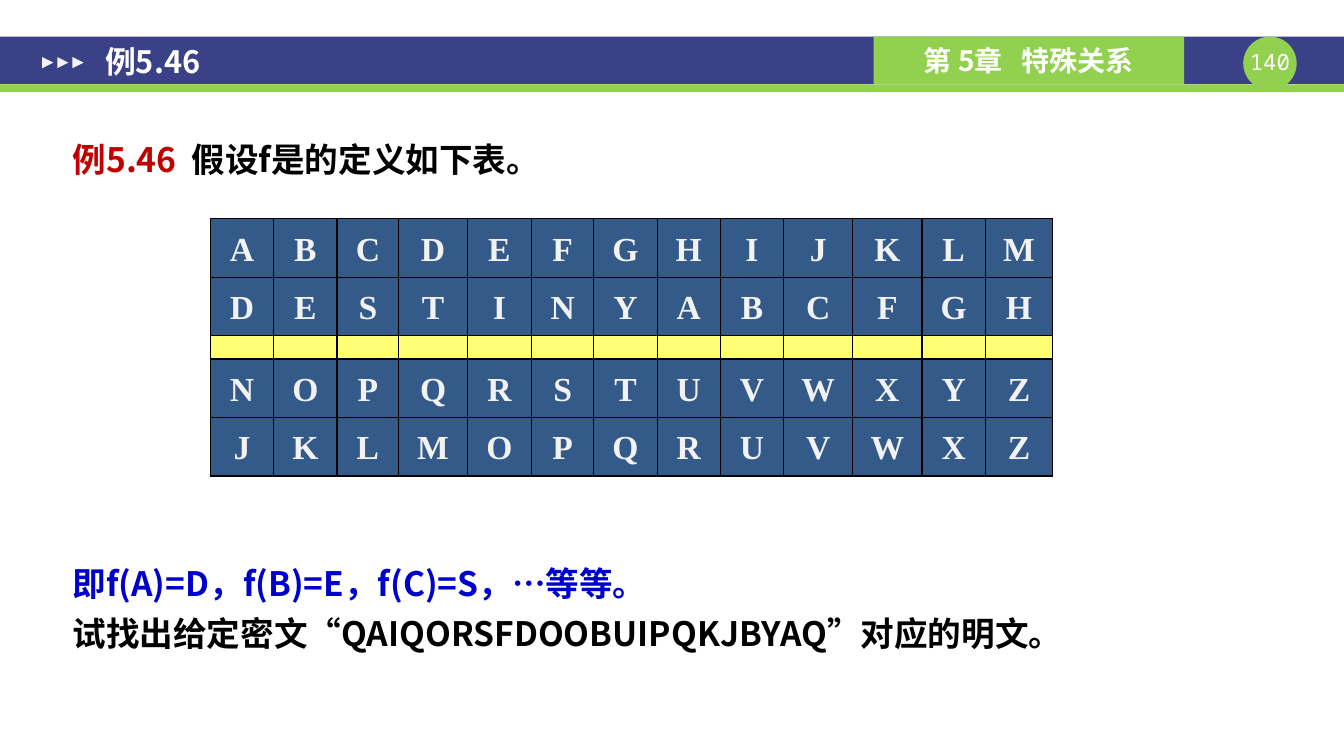
import pptx
import pptx.util
import pptx.dml.color
import pptx.enum.shapes
import pptx.enum.text
import pptx.oxml
import pptx.oxml.ns
import lxml.etree

Pt = pptx.util.Pt
Kind = pptx.enum.shapes.MSO_SHAPE
Align = pptx.enum.text.PP_ALIGN
Anchor = pptx.enum.text.MSO_ANCHOR
qn = pptx.oxml.ns.qn

HUES = {
    "navy": "3A4187", "green": "92D050", "white": "FFFFFF", "pale": "F2F2F2",
    "red": "C00000", "black": "000000", "blue": "0000CC",
    "cell": "1F497D", "gold": "FFFF66",
}
SANS, MONO, SERIF = "Noto Sans CJK SC", "Noto Sans Mono", "Times New Roman"
ROWS = ["ABCDEFGHIJKLM", "DESTINYABCFGH", "", "NOPQRSTUVWXYZ", "JKLMOPQRUVWXZ"]
COLS = [45.2, 45.2, 44.3, 48.9, 45.9, 44.6, 45.2, 45.2, 45.2, 49.4, 49.6, 45.2, 48.2]


def color(name):
    return pptx.dml.color.RGBColor.from_string(HUES[name])


def add_run(para, text, size, hue, face=SANS, bold=True, gap=0):
    """Add a run; gap is extra letter spacing in points."""
    run = para.add_run()
    run.text = text
    run.font.size = Pt(size)
    run.font.bold = bold
    run.font.name = face
    run.font.color.rgb = color(hue)
    props = run.font._element
    lxml.etree.SubElement(props, qn("a:ea")).set("typeface", face)
    if gap:
        props.set("spc", str(round(gap * 100)))


def add_block(slide, kind, box, hue):
    shape = slide.shapes.add_shape(kind, *map(Pt, box))
    shape.shadow.inherit = False
    shape.fill.solid()
    shape.fill.fore_color.rgb = color(hue)
    shape.line.fill.background()
    return shape


def add_box(slide, box, pads=(9.4, 5), anchor=Anchor.TOP):
    frame = slide.shapes.add_textbox(*map(Pt, box)).text_frame
    frame.word_wrap = True
    frame.vertical_anchor = anchor
    frame.margin_left = frame.margin_right = Pt(pads[0])
    frame.margin_top = frame.margin_bottom = Pt(pads[1])
    return frame


def add_lines(slide, box, lines):
    """Add body text: each line is a list of (text, hue, gap) runs."""
    frame = add_box(slide, box)
    for i, runs in enumerate(lines):
        para = frame.add_paragraph() if i else frame.paragraphs[0]
        para.line_spacing = 1.24
        for text, hue, gap in runs:
            add_run(para, text, 24, hue, gap=gap)


def style_cell(cell, hue):
    cell.fill.solid()
    cell.fill.fore_color.rgb = color(hue)
    props = cell._tc.tcPr
    tint = props.find(".//" + qn("a:srgbClr"))
    lxml.etree.SubElement(tint, qn("a:alpha")).set("val", "90000")
    for i, side in enumerate("LRTB"):
        props.insert(i, pptx.oxml.parse_xml(
            f'<a:ln{side} {pptx.oxml.ns.nsdecls("a")} w="12700"><a:solidFill>'
            f'<a:srgbClr val="{HUES["black"]}"/></a:solidFill></a:ln{side}>'))


def add_grid(slide):
    shape = slide.shapes.add_table(
        len(ROWS), len(COLS), Pt(150.4), Pt(156.3), Pt(sum(COLS)), Pt(184))
    table = shape.table
    table.first_row = table.horz_banding = False
    for col, width in zip(table.columns, COLS):
        col.width = Pt(width)
    for r, word in enumerate(ROWS):
        table.rows[r].height = Pt(41.8 if word else 16.6)
        for c in range(len(COLS)):
            cell = table.cell(r, c)
            style_cell(cell, "cell" if word else "gold")
            para = cell.text_frame.paragraphs[0]
            if word:
                para.alignment = Align.CENTER
                para.line_spacing = 1.2
                add_run(para, word[c], 24, "pale", SERIF)
            else:
                # Small type keeps the divider row thin
                lxml.etree.SubElement(para._p, qn("a:endParaRPr")).set("sz", "600")


def add_head(slide):
    # Bands and page disc
    add_block(slide, Kind.RECTANGLE, (0, 26.2, 960.5, 34), "navy")
    add_block(slide, Kind.RECTANGLE, (0, 60.2, 960.5, 5.6), "green")
    add_block(slide, Kind.OVAL, (888.5, 26.2, 38.2, 38.2), "green")
    page = add_box(slide, (888.5, 34.6, 38.2, 19.4), pads=(0, 0)).paragraphs[0]
    page.alignment = Align.CENTER
    add_run(page, "140", 16, "white", MONO, bold=False)

    # Chapter tab
    tab = add_block(slide, Kind.RECTANGLE, (624.3, 26.2, 222, 34), "green")
    tab.text_frame.vertical_anchor = Anchor.MIDDLE
    para = tab.text_frame.paragraphs[0]
    para.alignment = Align.CENTER
    add_run(para, "第 5章", 20, "white")
    add_run(para, " ", 20, "white", gap=9)
    add_run(para, "特殊关系", 20, "white")

    # Arrow marks
    for i in range(3):
        mark = add_block(
            slide, Kind.ISOSCELES_TRIANGLE, (30.2 + 10.8 * i, 40.8, 7.9, 7.9), "pale")
        mark.rotation = 90

    # Title
    title = add_box(slide, (65.8, 21, 550, 46), anchor=Anchor.MIDDLE)
    add_run(title.paragraphs[0], "例5.46", 22, "white")


def main():
    deck = pptx.Presentation()
    deck.slide_width, deck.slide_height = Pt(960.5), Pt(540)
    slide = deck.slides.add_slide(deck.slide_layouts[6])
    add_head(slide)

    # Text above and below the table
    add_lines(slide, (42.5, 87, 882, 54), [
        [("例5.46", "red", 0), (" ", "red", 5.4),
         ("假设f是的定义如下表。", "black", 0)],
    ])
    add_grid(slide)
    add_lines(slide, (42.5, 390, 882, 98), [
        [("即f(A)=D，f(B)=E，f(C)=S，…等等。", "blue", 0)],
        [("试找出给定密文“QAIQORSFDOOBUIPQKJBYAQ”对应的明文。", "black", 0)],
    ])
    deck.save("out.pptx")


if __name__ == "__main__":
    main()
